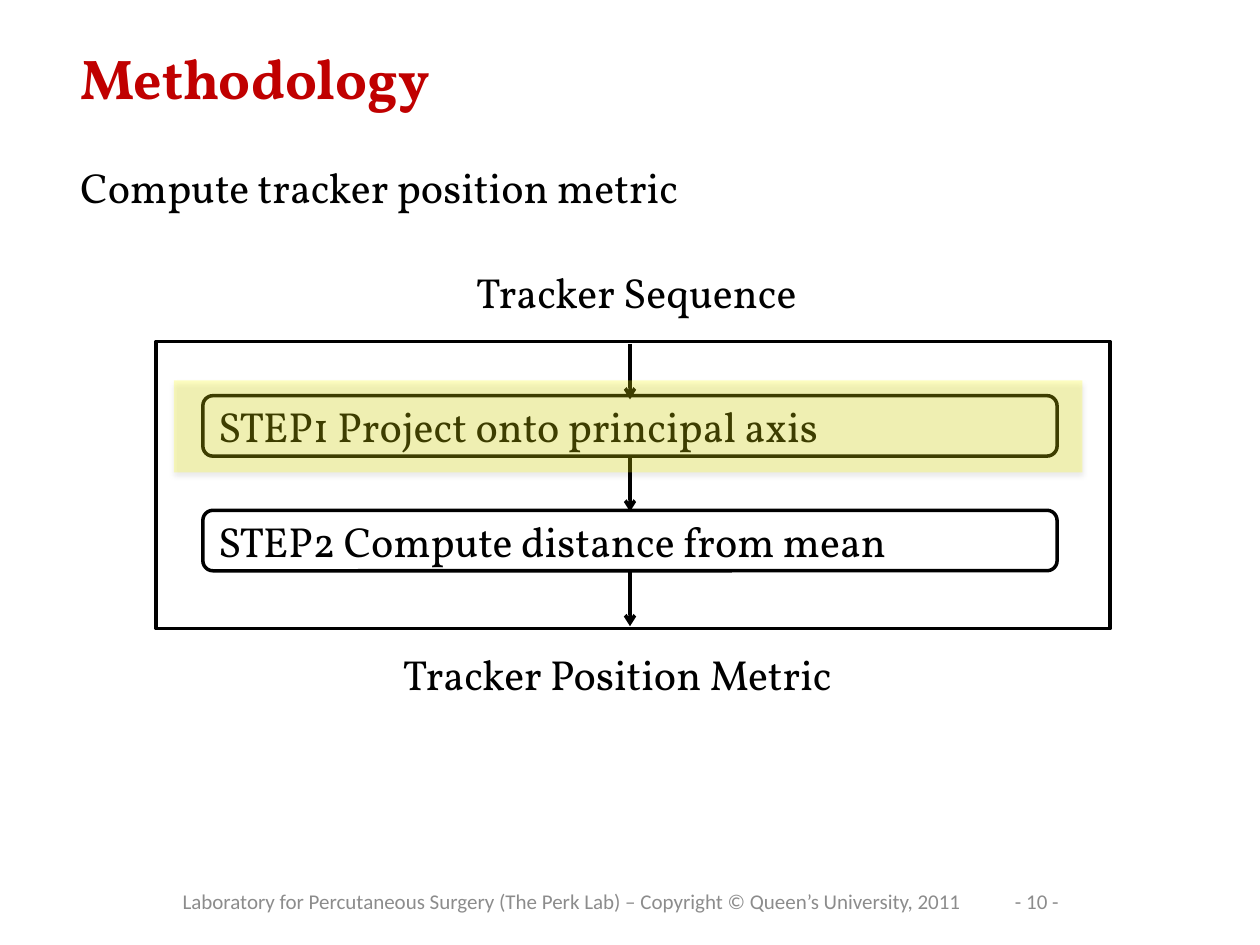
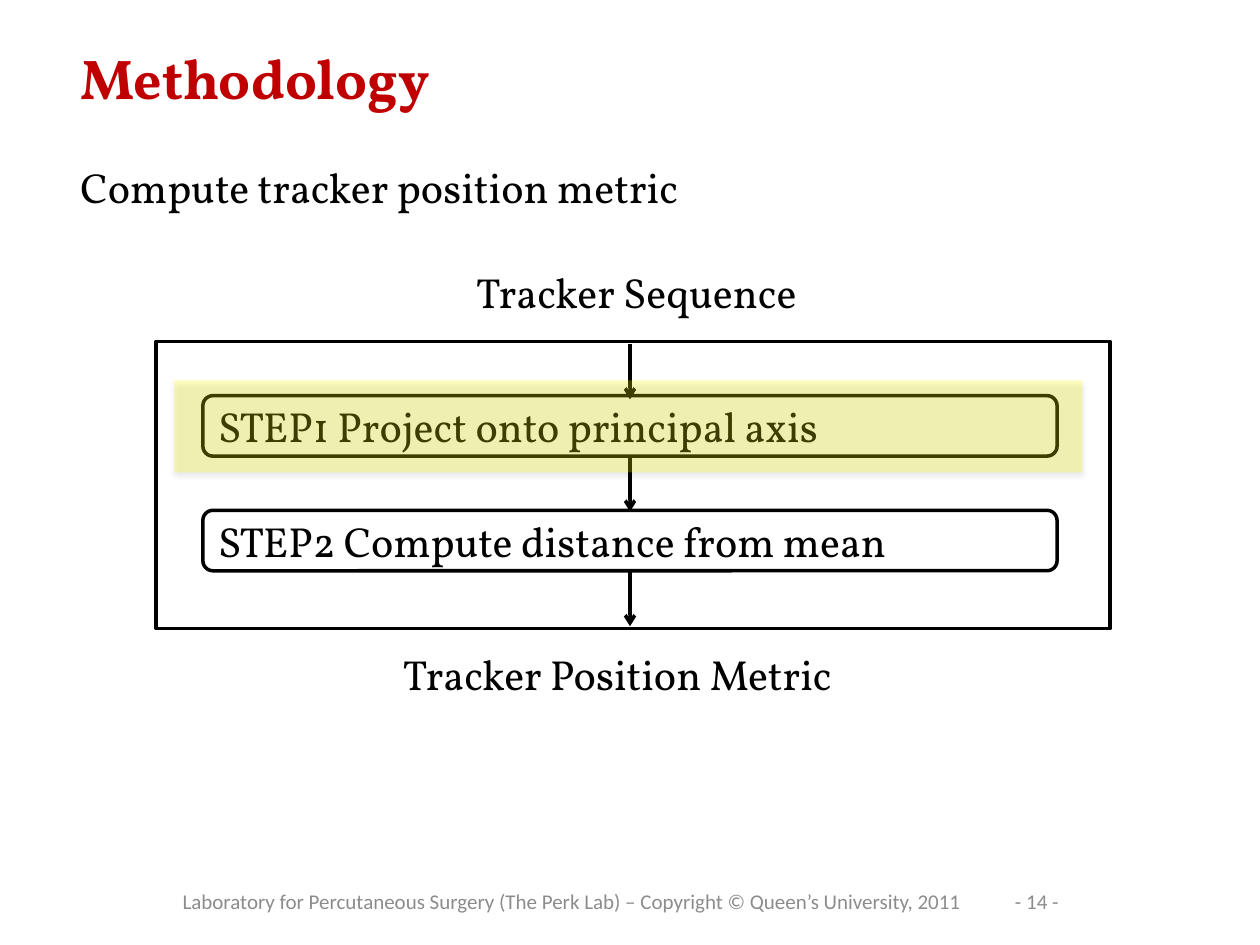
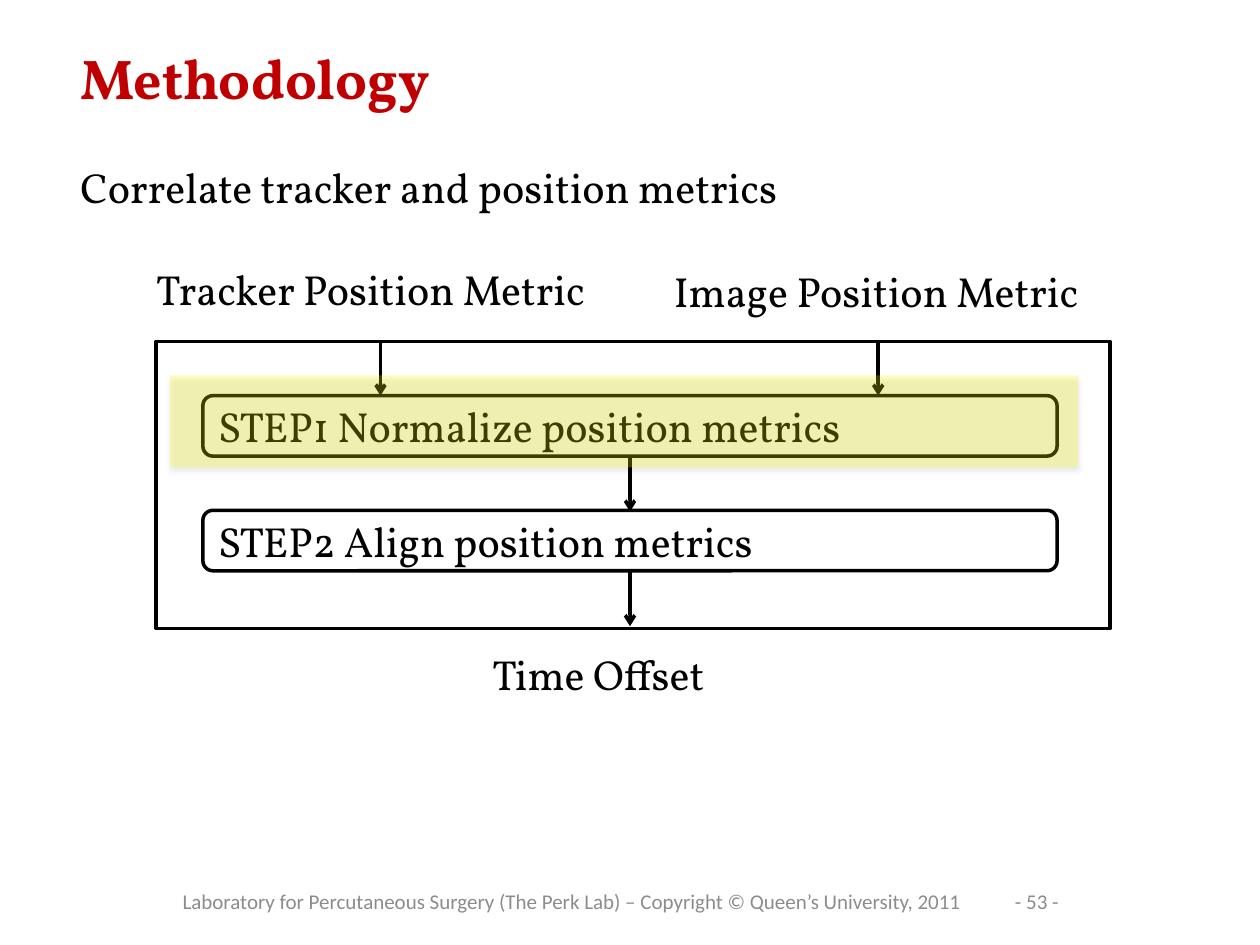
from dataclasses import dataclass
from typing import Any

from lxml.etree import SubElement as Sub
from pptx import Presentation
from pptx.dml.color import RGBColor
from pptx.enum.shapes import MSO_CONNECTOR as Conn, MSO_SHAPE as Kind
from pptx.enum.text import MSO_ANCHOR as Anchor, PP_ALIGN as Align
from pptx.oxml.ns import qn
from pptx.util import Inches, Pt

# Slide grid: 100 columns by 75 rows
WIDE, HIGH = Inches(10), Inches(7.5)
COLS, ROWS = 100, 75

HUES = {"ink": "000000", "title": "C00000", "foot": "8C8C8C", "glow": "FFFF00"}
HEAD = {"name": "Vollkorn", "size": Pt(32), "bold": True}
BODY = {"name": "Vollkorn", "size": Pt(24), "bold": False}
FOOT = {"name": "Calibri", "size": Pt(12)}
CREDIT = ("Laboratory for Percutaneous Surgery (The Perk Lab) – "
          "Copyright © Queen’s University, 2011")

# Flow chart rules, in columns and rows
MID, REACH = 50, 4.4
TOP, TALL, PITCH = 31.4, 4.8, 9.1


@dataclass(frozen=True)
class Box:
    col: float
    row: float
    wide: float
    high: float

    def place(self) -> tuple[int, int, int, int]:
        return across(self.col), down(self.row), across(self.wide), down(self.high)


@dataclass(frozen=True)
class Label:
    text: str
    col: float
    row: float
    wide: float


@dataclass(frozen=True)
class Flow:
    page: int
    topic: str
    steps: tuple[str, ...]
    labels: tuple[Label, ...]
    feeds: tuple[float, ...]
    start: float
    glow: Box


FRAME = Box(12.4, 27.1, 75.7, 22.8)
TITLE = Box(5.4, 3, 90, 14.4)
NOTE = Box(12.5, 69.5, 65.8, 4)
PAGE = Box(79.2, 69.5, 5.8, 4)


def across(cols: float) -> int:
    return round(WIDE * cols / COLS)


def down(rows: float) -> int:
    return round(HIGH * rows / ROWS)


def hue(name: str) -> RGBColor:
    return RGBColor.from_string(HUES[name])


def write(para: Any, text: str, style: dict, tint: str = "ink") -> None:
    run = para.add_run()
    run.text = text
    for key, value in style.items():
        setattr(run.font, key, value)
    run.font.color.rgb = hue(tint)


def add_text(slide: Any, box: Box) -> Any:
    frame = slide.shapes.add_textbox(*box.place()).text_frame
    frame.word_wrap = True
    return frame


def add_box(slide: Any, kind: Kind, box: Box) -> Any:
    shape = slide.shapes.add_shape(kind, *box.place())
    shape.shadow.inherit = False
    shape.fill.background()
    shape.line.color.rgb = hue("ink")
    shape.line.width = Pt(2)
    return shape


def add_step(slide: Any, text: str, row: float) -> None:
    frame = add_box(slide, Kind.ROUNDED_RECTANGLE, Box(16.1, row, 67.8, TALL)).text_frame
    frame.vertical_anchor = Anchor.MIDDLE
    frame.paragraphs[0].alignment = Align.LEFT
    write(frame.paragraphs[0], text, BODY)


def add_arrow(slide: Any, col: float, row: float) -> None:
    line = slide.shapes.add_connector(
        Conn.STRAIGHT, across(col), down(row), across(col), down(row + REACH))
    line.line.color.rgb = hue("ink")
    line.line.width = Pt(2)
    Sub(line.line._get_or_add_ln(), qn("a:tailEnd"), type="arrow")
    Sub(line._element.spPr, qn("a:effectLst"))


def add_glow(slide: Any, box: Box) -> None:
    shape = add_box(slide, Kind.RECTANGLE, box)
    shape.line.fill.background()
    shape.fill.solid()
    shape.fill.fore_color.rgb = hue("glow")
    props = shape._element.spPr
    Sub(props.find(".//" + qn("a:srgbClr")), qn("a:alpha"), val="24000")
    shade = Sub(props.find(qn("a:effectLst")), qn("a:outerShdw"),
                blurRad=str(Pt(3.1)), dist=str(Pt(1.8)), dir="5400000", rotWithShape="0")
    tone = Sub(shade, qn("a:srgbClr"), val=HUES["ink"])
    Sub(tone, qn("a:alpha"), val="35000")


def add_foot(slide: Any, page: int) -> None:
    parts = ((PAGE, f"- {page} -", Align.RIGHT), (NOTE, CREDIT, Align.CENTER))
    for box, text, side in parts:
        frame = add_text(slide, box)
        frame.vertical_anchor = Anchor.MIDDLE
        frame.paragraphs[0].alignment = side
        write(frame.paragraphs[0], text, FOOT, "foot")


def add_title(slide: Any, topic: str) -> None:
    frame = add_text(slide, TITLE)
    write(frame.paragraphs[0], "Methodology", HEAD, "title")
    para = frame.add_paragraph()
    para.space_before = Pt(29)
    write(para, topic, BODY)


def draw(slide: Any, flow: Flow) -> None:
    add_foot(slide, flow.page)
    # Steps, each with an arrow out of it
    for i, text in enumerate(flow.steps):
        row = TOP + i * PITCH
        add_step(slide, text, row)
        add_arrow(slide, MID, row + TALL)
    # Arrows in from the frame's top edge
    for col in flow.feeds:
        add_arrow(slide, col, flow.start)
    add_box(slide, Kind.RECTANGLE, FRAME)
    # Inputs and output
    for tag in flow.labels:
        frame = add_text(slide, Box(tag.col, tag.row, tag.wide, 5))
        write(frame.paragraphs[0], tag.text, BODY)
    add_title(slide, flow.topic)
    add_glow(slide, flow.glow)


def track(page: int) -> Flow:
    return Flow(
        page, "Compute tracker position metric",
        ("STEP1 Project onto principal axis", "STEP2 Compute distance from mean"),
        (Label("Tracker Sequence", 36.8, 20.7, 31.4),
         Label("Tracker Position Metric", 31, 51, 38.3)),
        (MID,), 27.3, Box(13.8, 30.2, 72.1, 7.3))


FLOWS = (
    track(10),
    track(14),
    Flow(
        53, "Correlate tracker and position metrics",
        ("STEP1 Normalize position metrics", "STEP2 Align position metrics"),
        (Label("Tracker Position Metric", 11.4, 20.4, 38),
         Label("Image Position Metric", 52.5, 20.6, 35),
         Label("Time Offset", 38.1, 51, 23.5)),
        (30.2, 69.7), 27, Box(13.5, 29.8, 72.1, 7.3)),
)


def main() -> None:
    deck = Presentation()
    deck.slide_width, deck.slide_height = WIDE, HIGH
    for flow in FLOWS:
        draw(deck.slides.add_slide(deck.slide_layouts[6]), flow)
    deck.save("out.pptx")


if __name__ == "__main__":
    main()
